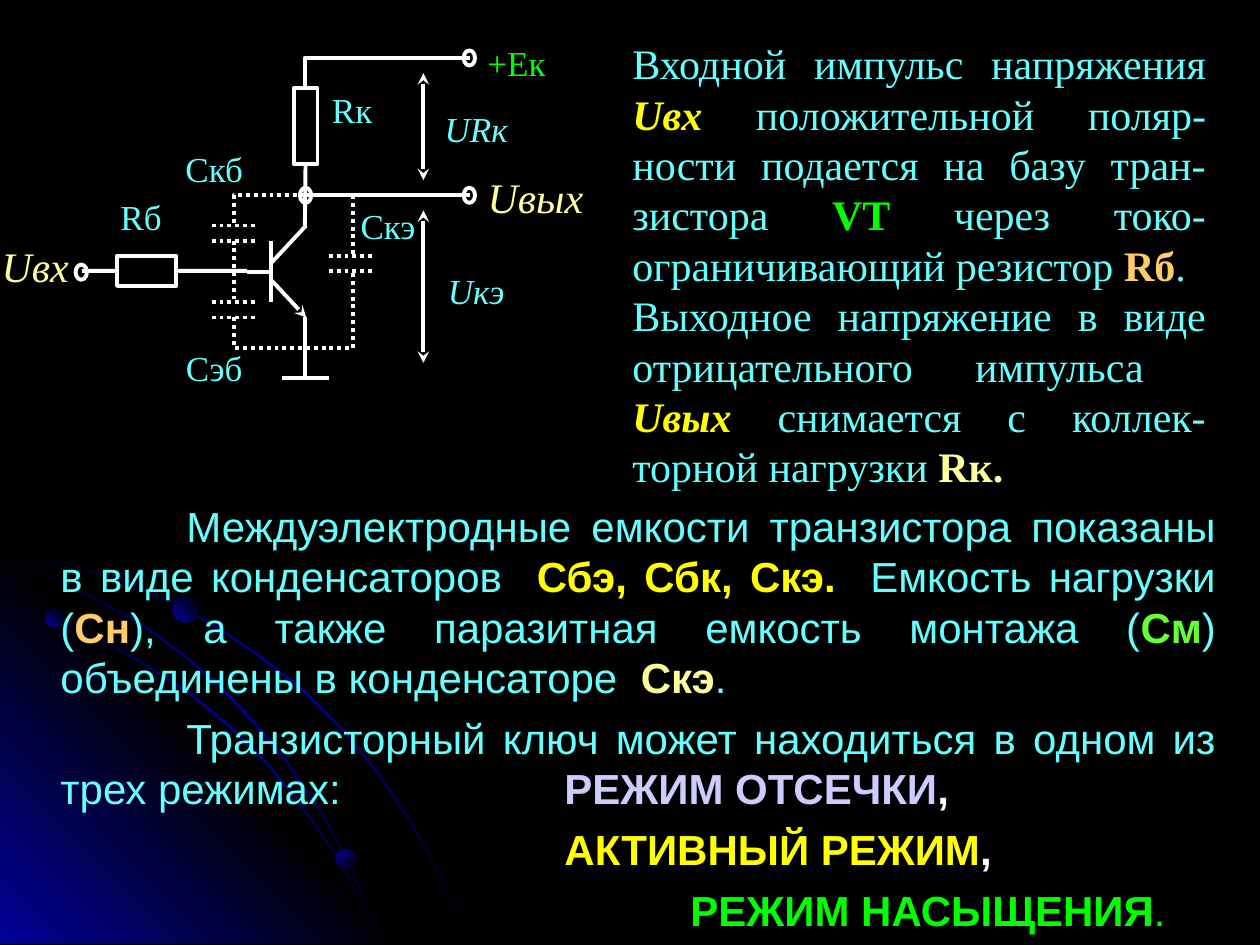
"""Build a slide on a transistor switch: circuit diagram, explanation and operating modes."""
from lxml import etree
from pptx import Presentation
from pptx.dml.color import RGBColor
from pptx.enum.shapes import MSO_CONNECTOR, MSO_SHAPE
from pptx.enum.text import MSO_AUTO_SIZE, PP_ALIGN
from pptx.oxml.ns import qn
from pptx.util import Inches, Pt

STRAIGHT = MSO_CONNECTOR.STRAIGHT
RECTANGLE, OVAL = MSO_SHAPE.RECTANGLE, MSO_SHAPE.OVAL
JUSTIFY, CENTER = PP_ALIGN.JUSTIFY, PP_ALIGN.CENTER
NO_AUTOFIT = MSO_AUTO_SIZE.NONE
SERIF, SANS = "Times New Roman", "Arial"
COLORS = {
    "black": "000000", "navy": "010199", "white": "FFFFFF", "cyan": "66FFFF",
    "yellow": "FFFF00", "cream": "FFFF99", "orange": "FFCC66", "lime": "66FF33",
    "green": "00FF00", "lilac": "CCCCFF",
}


def write_text(paragraph, text, color="cyan", size=24, font=SERIF, bold=False, italic=False):
    run = paragraph.add_run()
    run.text = text
    run.font.name = font
    run.font.size = Pt(size)
    run.font.bold = bold
    run.font.italic = italic
    run.font.color.rgb = RGBColor.from_string(COLORS[color])


def draw_path(points, close):
    corners = [(Inches(x), Inches(y)) for x, y in points]
    builder = shapes.build_freeform(*corners[0], scale=1.0)
    builder.add_line_segments(corners[1:], close=close)
    path = builder.convert_to_shape()
    path.shadow.inherit = False
    return path


presentation = Presentation()
presentation.slide_width, presentation.slide_height = Inches(10), Inches(7.5)
for styles in (presentation.element, presentation.slide_master.element):
    for level in styles.xpath(".//a:lvl1pPr"):
        level.set("defTabSz", str(Inches(1)))
slide = presentation.slides.add_slide(presentation.slide_layouts[1])
shapes = slide.shapes
slide.background.fill.solid()
slide.background.fill.fore_color.rgb = RGBColor.from_string(COLORS["black"])
title = shapes.title._element
title.getparent().remove(title)
body = shapes.placeholders[1]

outer_arc = [(0, 4.38), (0.28, 4.43), (0.56, 4.49), (0.97, 4.61), (1.35, 4.78), (1.73, 4.99),
             (2.08, 5.23), (2.41, 5.49), (2.71, 5.79), (2.98, 6.12), (3.23, 6.49),
             (3.37, 6.73), (3.5, 6.98), (3.6, 7.23), (3.7, 7.49)]
corner = [(3.22, 7.49), (0, 7.49), (0, 4.27)]
inner_arc = [(0, 4.77), (0.39, 4.9), (0.77, 5.07), (1.15, 5.28), (1.5, 5.51), (1.83, 5.78),
             (2.13, 6.08), (2.4, 6.42), (2.65, 6.77), (2.85, 7.14), (2.94, 7.32), (3.01, 7.49)]
middle_arc = [(0, 4.44), (0.36, 4.57), (0.74, 4.75), (1.09, 4.94), (1.42, 5.18), (1.73, 5.44),
              (2.02, 5.75), (2.27, 6.05), (2.52, 6.41), (2.67, 6.67), (2.8, 6.94),
              (2.92, 7.22), (3.01, 7.49)]
glow, corner_glow, fade = ("black", "navy", "black"), ("navy", "black", "navy"), ("black", "navy")
backdrop = []
for outline, stops, angle in [(outer_arc, glow, 225), (corner, corner_glow, 135),
                              (inner_arc, glow, 225), (middle_arc, glow, 225)]:
    if outline is not corner:
        outline = outline + [(x + 0.01, y - 0.01) for x, y in reversed(outline)]
    backdrop.append((draw_path(outline, True), stops, angle))
for left, top, size, angle in [(0.36, 4.83, 0.15, 135), (2.67, 6.74, 0.16, 225),
                               (1.37, 4.73, 0.21, 135)]:
    planet = shapes.add_shape(OVAL, Inches(left), Inches(top), Inches(size), Inches(size))
    planet.shadow.inherit = False
    backdrop.append((planet, fade, angle))
for decoration, stops, angle in backdrop:
    decoration.line.fill.background()
    decoration.fill.gradient()
    decoration.fill.gradient_angle = 360 - angle
    stop_list = decoration._element.xpath(".//a:gsLst")[0]
    for stop in list(stop_list):
        stop_list.remove(stop)
    for index, color in enumerate(stops):
        stop = etree.SubElement(stop_list, qn("a:gs"), pos=str(100000 * index // (len(stops) - 1)))
        etree.SubElement(stop, qn("a:srgbClr"), val=COLORS[color])

body._element.getparent().append(body._element)
body.left, body.top, body.width, body.height = Inches(0), Inches(3.92), Inches(9.75), Inches(3.58)
explanation = shapes.add_textbox(Inches(4.92), Inches(0.25), Inches(4.75), Inches(3.7))
body_paragraphs = [
    [("\t\tМеждуэлектродные емкости транзистора показаны в виде конденсаторов  ", {}),
     ("Сбэ, Сбк, Скэ.", {"color": "yellow", "bold": True}),
     ("  Емкость нагрузки (", {}),
     ("Сн", {"color": "orange", "bold": True}),
     ("), а также паразитная емкость монтажа (", {}),
     ("См", {"color": "lime", "bold": True}),
     (") объединены в конденсаторе  ", {}),
     ("Скэ", {"color": "cream", "bold": True}),
     (". ", {})],
    [("\t\tТранзисторный ключ может находиться в одном из трех режимах: \t\t", {}),
     ("РЕЖИМ ОТСЕЧКИ", {"color": "lilac", "bold": True}),
     (", ", {"color": "white", "bold": True})],
    [("\t\t\t\t\t", {}),
     ("АКТИВНЫЙ РЕЖИМ", {"color": "yellow", "bold": True}),
     (", ", {"color": "white", "bold": True})],
    [("\t\t\t\t\t\t", {}),
     ("РЕЖИМ НАСЫЩЕНИЯ", {"color": "green", "bold": True}),
     (". ", {"color": "green"})],
]
explanation_paragraphs = [
    [("Входной импульс напряжения ", {}),
     ("Uвх", {"color": "yellow", "bold": True, "italic": True}),
     (" положительной поляр-ности подается на базу тран-зистора ", {}),
     ("VT", {"color": "green", "bold": True}),
     (" через токо-ограничивающий резистор ", {}),
     ("Rб", {"color": "orange", "bold": True}),
     (". \tВыходное напряжение в виде отрицательного импульса  ", {}),
     ("Uвых", {"color": "yellow", "bold": True, "italic": True}),
     (" снимается с коллек-торной нагрузки ", {}),
     ("Rк. ", {"color": "cream", "bold": True})],
]
for holder, paragraphs, font, indent in [(body, body_paragraphs, SANS, 0.38),
                                         (explanation, explanation_paragraphs, SERIF, 0)]:
    frame = holder.text_frame
    frame.word_wrap = True
    frame.auto_size = NO_AUTOFIT
    for index, runs in enumerate(paragraphs):
        paragraph = frame.add_paragraph() if index else frame.paragraphs[0]
        paragraph.alignment = JUSTIFY
        paragraph.line_spacing = 1.0
        paragraph.space_before = Pt(6 if index else 0)
        properties = paragraph._p.get_or_add_pPr()
        properties.set("marL", str(Inches(indent)))
        properties.set("indent", str(-Inches(indent)))
        properties.set("defTabSz", str(Inches(1)))
        etree.SubElement(properties, qn("a:buNone"))
        tabs = etree.SubElement(properties, qn("a:tabLst"))
        for inch in range(8):
            etree.SubElement(tabs, qn("a:tab"), pos=str(Inches(inch)), algn="l")
        for text, style in runs:
            write_text(paragraph, text, font=font, **style)

signal = {"color": "cream", "italic": True}
part, voltage = {"size": 20}, {"size": 20, "italic": True}
for text, left, top, width, height, style in [
    ("Сэб", 1.42, 2.75, 0.56, 0.36, part), ("Скб", 1.42, 1.17, 0.56, 0.39, part),
    ("Скэ", 2.8, 1.62, 0.56, 0.41, part), ("Rб", 0.84, 1.55, 0.56, 0.37, part),
    ("Rк", 2.61, 0.7, 0.37, 0.36, part), ("Uвх", 0, 1.91, 0.56, 0.36, signal),
    ("Uвых", 3.83, 1.36, 0.84, 0.43, signal), ("URк", 3.45, 0.85, 0.66, 0.34, voltage),
    ("Uкэ", 3.45, 2.14, 0.66, 0.38, voltage),
    ("+Ек", 3.82, 0.33, 0.56, 0.36, {"size": 20, "color": "green"}),
]:
    label = shapes.add_textbox(Inches(left), Inches(top), Inches(width), Inches(height)).text_frame
    label.margin_left = label.margin_right = label.margin_top = label.margin_bottom = 0
    label.word_wrap = True
    label.paragraphs[0].alignment = CENTER
    write_text(label.paragraphs[0], text, **style)

outlines = []
for kind, left, top, width, height in [
    (RECTANGLE, 0.93, 2.03, 0.47, 0.24), (RECTANGLE, 2.33, 0.7, 0.19, 0.6),
    (OVAL, 0.6, 2.1, 0.09, 0.12), (OVAL, 3.68, 1.49, 0.09, 0.12),
    (OVAL, 3.68, 0.4, 0.09, 0.12), (OVAL, 2.38, 1.49, 0.09, 0.12),
]:
    component = shapes.add_shape(kind, Inches(left), Inches(top), Inches(width), Inches(height))
    component.shadow.inherit = False
    outlines.append((component, False, ()))
base_resistor, collector_resistor = outlines[0][0], outlines[1][0]
for points, dotted in [([(2.42, 0.7), (2.42, 0.46), (3.73, 0.46)], False),
                       ([(2.42, 1.55), (1.86, 1.55), (1.86, 1.79)], True),
                       ([(1.86, 2.52), (1.86, 2.76), (2.8, 2.76), (2.8, 2.15)], True)]:
    outlines.append((draw_path(points, False), dotted, ()))
for component, _, _ in outlines:
    component.fill.background()

wires = [(2.42, 1.55, 3.73, 1.55), (2.42, 2.52, 2.42, 3), (2.24, 3, 2.61, 3),
         (2.15, 1.91, 2.15, 2.4), (2.15, 2.09, 2.43, 1.79), (1.96, 2.16, 2.15, 2.16)]
plates = [(x, y, x + 0.37, y) for x, y in [(1.68, 1.79), (1.68, 1.91), (1.68, 2.4),
                                           (1.68, 2.52), (2.61, 2.03), (2.61, 2.15)]]
leads = [(1.86, 1.91, 1.86, 2.4), (2.8, 1.55, 2.8, 2.03)]
emitter = (2.15, 2.22, 2.43, 2.52)
input_wire, base_wire = (0.65, 2.15, 0.93, 2.15), (1.4, 2.15, 1.96, 2.15)
collector_wire = (2.42, 1.3, 2.42, 1.79)
measures = [(3.36, 0.58, 3.36, 1.43), (3.36, 1.67, 3.36, 2.88)]
for ends in wires + plates + leads + [emitter, input_wire, base_wire, collector_wire] + measures:
    wire = shapes.add_connector(STRAIGHT, *[Inches(value) for value in ends])
    if ends == input_wire:
        wire.end_connect(base_resistor, 1)
    elif ends == base_wire:
        wire.begin_connect(base_resistor, 3)
    elif ends == collector_wire:
        wire.begin_connect(collector_resistor, 2)
    heads = ("headEnd", "tailEnd") if ends in measures else ("tailEnd",) if ends == emitter else ()
    outlines.append((wire, ends in plates + leads, heads))
for stroke, dotted, heads in outlines:
    stroke.line.color.rgb = RGBColor.from_string(COLORS["white"])
    stroke.line.width = Pt(2.25)
    line = stroke._element.xpath(".//a:ln")[0]
    if dotted:
        etree.SubElement(line, qn("a:prstDash"), val="sysDot")
    for head in heads:
        etree.SubElement(line, qn(f"a:{head}"), type="stealth")
    if not stroke._element.xpath(".//a:effectLst"):
        etree.SubElement(line.getparent(), qn("a:effectLst"))

presentation.save("out.pptx")
